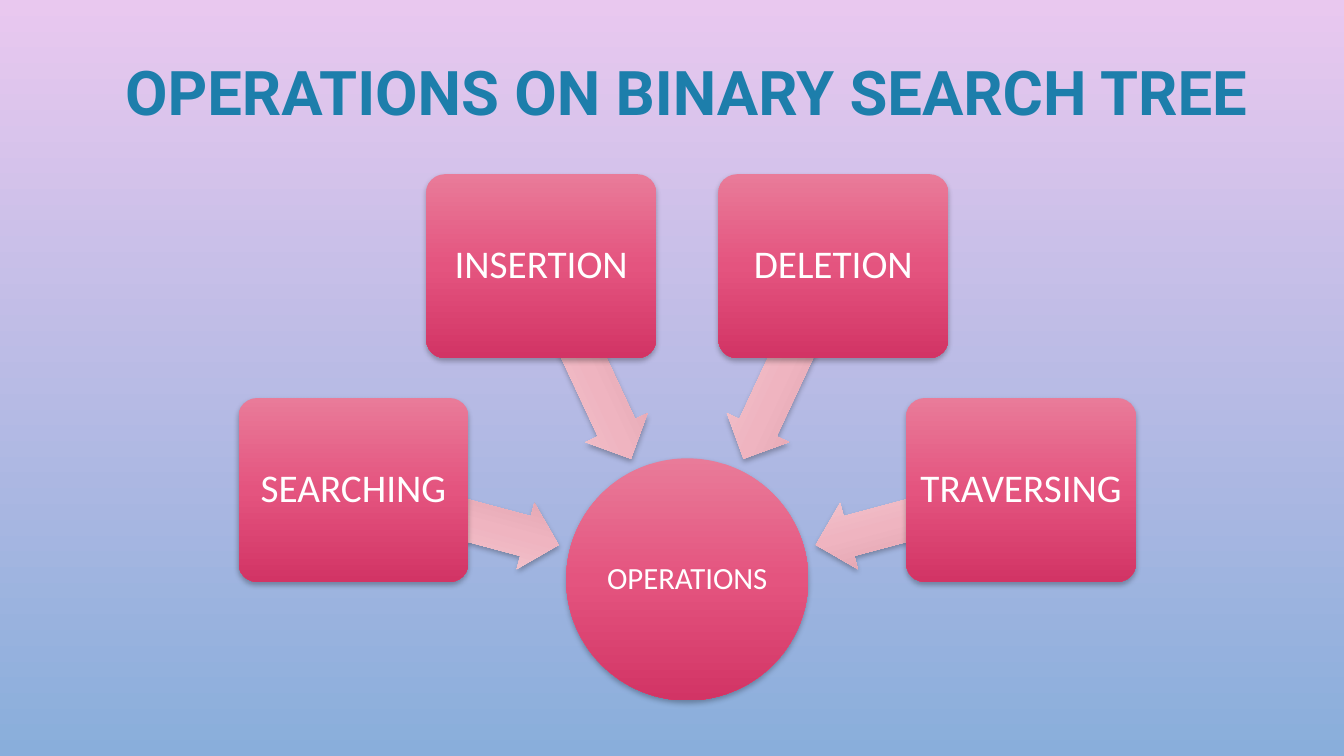
"""Build a slide showing the four operations on a binary search tree."""
from copy import deepcopy
from math import cos, radians, sin

from lxml.etree import SubElement
from pptx import Presentation
from pptx.dml.color import RGBColor
from pptx.enum.shapes import MSO_SHAPE
from pptx.enum.text import MSO_ANCHOR, PP_ALIGN
from pptx.oxml.ns import qn
from pptx.util import Cm, Pt

COLORS = {
    "title": "1D7EAB",
    "label": "FFFFFF",
    "shadow": "000000",
    "background": ["E9C8EF", "89AEDB"],
    "node": ["E97B99", "E4547F", "D23465"],
    "arrow": ["F6D4DA", "EFB4C0", "D495A2"],
}
HUB_X, HUB_Y, HUB_SIZE = 17.32, 14.6, 6.1
BOX_ORBIT, BOX_SIZE = 8.71, (5.79, 4.63)
ARROW_ORBIT, ARROW_SIZE = 6.02, (5.33, 1.73)
OPERATIONS = ["SEARCHING", "INSERTION", "DELETION", "TRAVERSING"]
FIRST_ANGLE, ANGLE_STEP = 195, 50


class RadialSlide:
    def __init__(self, slide):
        self.slide = slide
        background = slide.background.fill
        background.gradient()
        self.paint(background, COLORS["background"])

    def paint(self, fill, colors):
        fill.gradient_angle = 270
        for index, (stop, color) in enumerate(zip(fill.gradient_stops, colors)):
            stop.position = index / (len(colors) - 1)
            stop.color.rgb = RGBColor.from_string(color)

    def label(self, frame, text, size, font, color, inset, bold=False):
        frame.text = text
        frame.word_wrap = True
        frame.vertical_anchor = MSO_ANCHOR.MIDDLE
        frame.margin_left = frame.margin_right = Cm(inset)
        frame.margin_top = frame.margin_bottom = Cm(inset)
        paragraph = frame.paragraphs[0]
        paragraph.alignment = PP_ALIGN.CENTER
        paragraph.line_spacing = 0.9
        style = paragraph.runs[0].font
        style.size, style.name, style.bold = Pt(size), font, bold
        style.color.rgb = RGBColor.from_string(COLORS[color])

    def title(self, text, left, top, width, height):
        heading = self.slide.shapes.add_textbox(Cm(left), Cm(top), Cm(width), Cm(height))
        self.label(heading.text_frame, text, 44, "Roboto", "title", 0.2, bold=True)

    def solid(self, preset, x, y, width, height, colors):
        shape = self.slide.shapes.add_shape(
            preset, Cm(x - width / 2), Cm(y - height / 2), Cm(width), Cm(height))
        shape.line.fill.background()
        shape.fill.gradient()
        stops = shape.element.spPr.find(".//" + qn("a:gsLst"))
        stops.insert(1, deepcopy(stops[0]))
        self.paint(shape.fill, COLORS[colors])
        self.shade(shape)
        return shape

    def shade(self, shape):
        shape.shadow.inherit = False
        effects = shape.element.spPr.find(qn("a:effectLst"))
        shadow = SubElement(effects, qn("a:outerShdw"), blurRad=str(Pt(4)),
                            dist=str(Pt(2)), dir="5400000", algn="ctr", rotWithShape="0")
        tone = SubElement(shadow, qn("a:srgbClr"), val=COLORS["shadow"])
        SubElement(tone, qn("a:alpha"), val="28000")

    def hub(self, text):
        circle = self.solid(MSO_SHAPE.OVAL, HUB_X, HUB_Y, HUB_SIZE, HUB_SIZE, "node")
        self.label(circle.text_frame, text, 22, "Calibri", "label", 0.05)

    def arrow(self, angle):
        pointer = self.solid(MSO_SHAPE.LEFT_ARROW, *self.orbit(ARROW_ORBIT, angle),
                             *ARROW_SIZE, "arrow")
        pointer.adjustments[0] = 0.6
        pointer.adjustments[1] = 0.5
        pointer.rotation = angle

    def box(self, text, angle):
        card = self.solid(MSO_SHAPE.ROUNDED_RECTANGLE, *self.orbit(BOX_ORBIT, angle),
                          *BOX_SIZE, "node")
        card.adjustments[0] = 0.1
        self.label(card.text_frame, text, 28, "Calibri", "label", 0.15)

    def orbit(self, radius, angle):
        turn = radians(angle)
        return HUB_X + radius * cos(turn), HUB_Y + radius * sin(turn)


def main():
    deck = Presentation()
    deck.slide_width, deck.slide_height = Cm(33.87), Cm(19.05)
    page = RadialSlide(deck.slides.add_slide(deck.slide_layouts[6]))
    page.title("OPERATIONS ON BINARY SEARCH TREE", 2.03, 1.3, 30.56, 2.21)
    page.hub("OPERATIONS")
    for index, operation in enumerate(OPERATIONS):
        angle = FIRST_ANGLE + index * ANGLE_STEP
        page.arrow(angle)
        page.box(operation, angle)
    deck.save("out.pptx")


if __name__ == "__main__":
    main()
